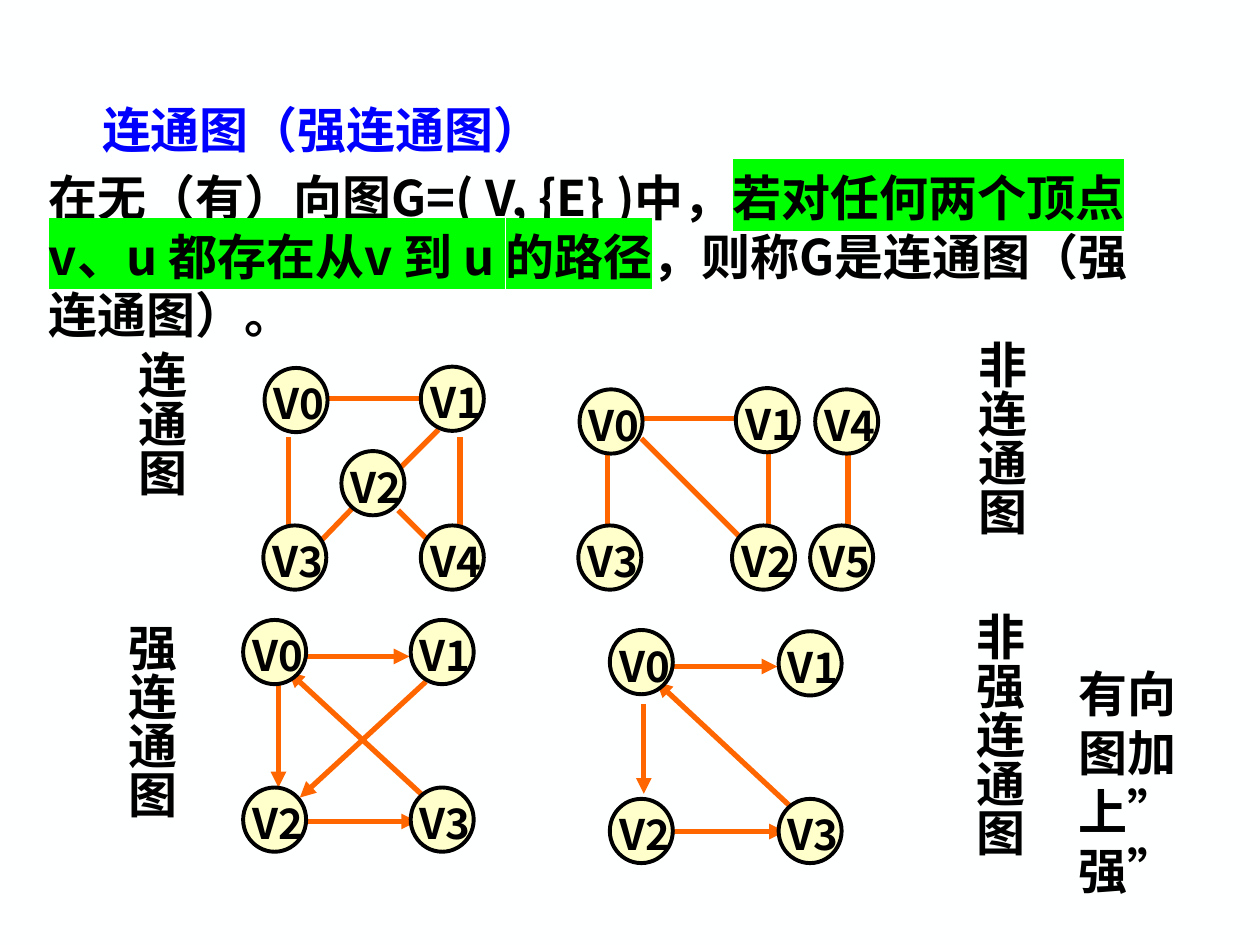
from lxml.etree import SubElement
from pptx import Presentation
from pptx.dml.color import RGBColor
from pptx.enum.shapes import MSO_CONNECTOR, MSO_SHAPE
from pptx.enum.text import MSO_ANCHOR, MSO_AUTO_SIZE, PP_ALIGN
from pptx.oxml.ns import qn
from pptx.util import Inches, Pt

BLACK = RGBColor(0x00, 0x00, 0x00)
BLUE = RGBColor(0x00, 0x00, 0xFF)
ORANGE = RGBColor(0xFF, 0x66, 0x00)
CREAM = RGBColor(0xFF, 0xFF, 0xCC)
PAPER = RGBColor(0xFE, 0xFF, 0xFF)
GREEN = RGBColor(0x00, 0xFF, 0x00)
CJK_FONT = "Noto Sans CJK SC"


def add_run(paragraph, text, size=28, color=BLACK, latin=CJK_FONT, highlight=None):
    run = paragraph.add_run()
    run.text = text
    run.font.color.rgb = color
    properties = run.font._element
    if highlight is not None:
        marker = SubElement(properties, qn("a:highlight"))
        SubElement(marker, qn("a:srgbClr"), val=str(highlight))
    for name, value in {"size": Pt(size), "bold": True, "name": latin}.items():
        setattr(run.font, name, value)
    SubElement(properties, qn("a:ea"), typeface=CJK_FONT)


def add_edge(graph, x1, y1, x2, y2, directed):
    edge = graph.shapes.add_connector(
        MSO_CONNECTOR.STRAIGHT, Inches(x1), Inches(y1), Inches(x2), Inches(y2))
    edge.line.color.rgb = ORANGE
    edge.line.width = Pt(3)
    if directed:
        SubElement(edge.line._get_or_add_ln(), qn("a:tailEnd"), type="triangle")
    SubElement(edge._element.spPr, qn("a:effectLst"))


deck = Presentation()
deck.slide_width, deck.slide_height = Inches(10), Inches(7.5)
slide = deck.slides.add_slide(deck.slide_layouts[5])
slide.background.fill.solid()
slide.background.fill.fore_color.rgb = PAPER

heading = slide.shapes.title
heading.left, heading.top = Inches(0.71), Inches(0.74)
heading.width, heading.height = Inches(3.72), Inches(0.57)
for name, value in {"word_wrap": False, "auto_size": MSO_AUTO_SIZE.NONE,
                    "vertical_anchor": MSO_ANCHOR.TOP}.items():
    setattr(heading.text_frame, name, value)
heading_line = heading.text_frame.paragraphs[0]
heading_line.alignment = PP_ALIGN.LEFT
heading_line.line_spacing = Pt(33.6)
add_run(heading_line, "连通图（强连通图）", color=BLUE, latin="DejaVu Sans")

passages = [
    ((0.29, 1.28, 9.08, 1.5), CJK_FONT, [
        ("在无（有）向图G=( V, {E} )中，", None),
        ("若对任何两个顶点 v、u 都存在从v 到 u 的路径", GREEN),
        ("，则称G是连通图（强连通图）。", None)]),
    ((8.46, 5.22, 1.28, 1.51), "Times New Roman", [("有向图加上”强”", None)]),
]
for place, latin, pieces in passages:
    passage = slide.shapes.add_textbox(*map(Inches, place)).text_frame
    passage.word_wrap = True
    sentence = passage.paragraphs[0]
    sentence.line_spacing = Pt(33.6)
    for text, highlight in pieces:
        add_run(sentence, text, latin=latin, highlight=highlight)

captions = [
    ("连通图", 0.89, 2.58, 2.17),
    ("非连通图", 7.56, 2.5, 2.17),
    ("强连通图", 0.81, 4.75, 2.17),
    ("非强连通图", 7.54, 4.66, 2.5),
]
for text, left, top, height in captions:
    caption = slide.shapes.add_textbox(
        Inches(left), Inches(top), Inches(0.67), Inches(height)).text_frame
    caption.word_wrap = True
    caption.auto_size = MSO_AUTO_SIZE.SHAPE_TO_FIT_TEXT
    caption.margin_top = Inches(0.2)
    caption._txBody.bodyPr.set("vert", "eaVert")
    add_run(caption.paragraphs[0], text)

graphs = [
    {"directed": False,
     "nodes": {"V0": (2.1, 2.92), "V1": (3.34, 2.91), "V2": (2.71, 3.58),
               "V3": (2.09, 4.17), "V4": (3.34, 4.17)},
     "edges": [(2.29, 3.47, 2.29, 4.19), (2.59, 3.16, 3.41, 3.16),
               (3.65, 3.47, 3.65, 4.19), (2.82, 4.01, 2.53, 4.31),
               (3.48, 3.41, 3.18, 3.71), (3.16, 4.05, 3.41, 4.3)]},
    {"directed": False,
     "nodes": {"V0": (4.6, 3.09), "V1": (5.84, 3.08), "V2": (5.81, 4.17),
               "V3": (4.59, 4.17)},
     "edges": [(5.09, 3.48, 5.91, 4.3), (4.82, 3.58, 4.82, 4.22),
               (5.1, 3.32, 5.88, 3.32), (6.1, 3.58, 6.1, 4.22)]},
    {"directed": False,
     "nodes": {"V4": (6.47, 3.09), "V5": (6.43, 4.17)},
     "edges": [(6.73, 3.54, 6.73, 4.18)]},
    {"directed": True,
     "nodes": {"V0": (1.93, 4.92), "V1": (3.26, 4.92), "V2": (1.93, 6.25),
               "V3": (3.26, 6.25)},
     "edges": [(2.21, 5.41, 2.21, 6.25), (2.43, 6.52, 3.31, 6.52),
               (2.43, 5.21, 3.25, 5.21), (3.46, 6.41, 2.29, 5.33),
               (3.38, 5.41, 2.38, 6.33)]},
    {"directed": True,
     "nodes": {"V0": (4.84, 5), "V1": (6.18, 5.01), "V2": (4.84, 6.34),
               "V3": (6.18, 6.34)},
     "edges": [(5.11, 5.59, 5.11, 6.3), (5.35, 6.6, 6.23, 6.6),
               (5.35, 5.29, 6.17, 5.29), (6.38, 6.5, 5.21, 5.41)]},
]
for layout in graphs:
    graph = slide.shapes.add_group_shape()
    for edge in layout["edges"]:
        add_edge(graph, *edge, layout["directed"])
    for label, (left, top) in layout["nodes"].items():
        node = graph.shapes.add_shape(
            MSO_SHAPE.OVAL, Inches(left), Inches(top), Inches(0.5), Inches(0.51))
        node.shadow.inherit = False
        node.fill.solid()
        node.fill.fore_color.rgb = CREAM
        node.line.color.rgb = BLACK
        node.line.width = Pt(2.25)
        for name, value in {"word_wrap": False, "vertical_anchor": MSO_ANCHOR.MIDDLE,
                            "margin_left": Inches(0.05), "margin_right": 0,
                            "margin_top": Inches(0.05), "margin_bottom": 0}.items():
            setattr(node.text_frame, name, value)
        node.text_frame.paragraphs[0].alignment = PP_ALIGN.CENTER
        add_run(node.text_frame.paragraphs[0], label, size=24)

deck.save("out.pptx")
